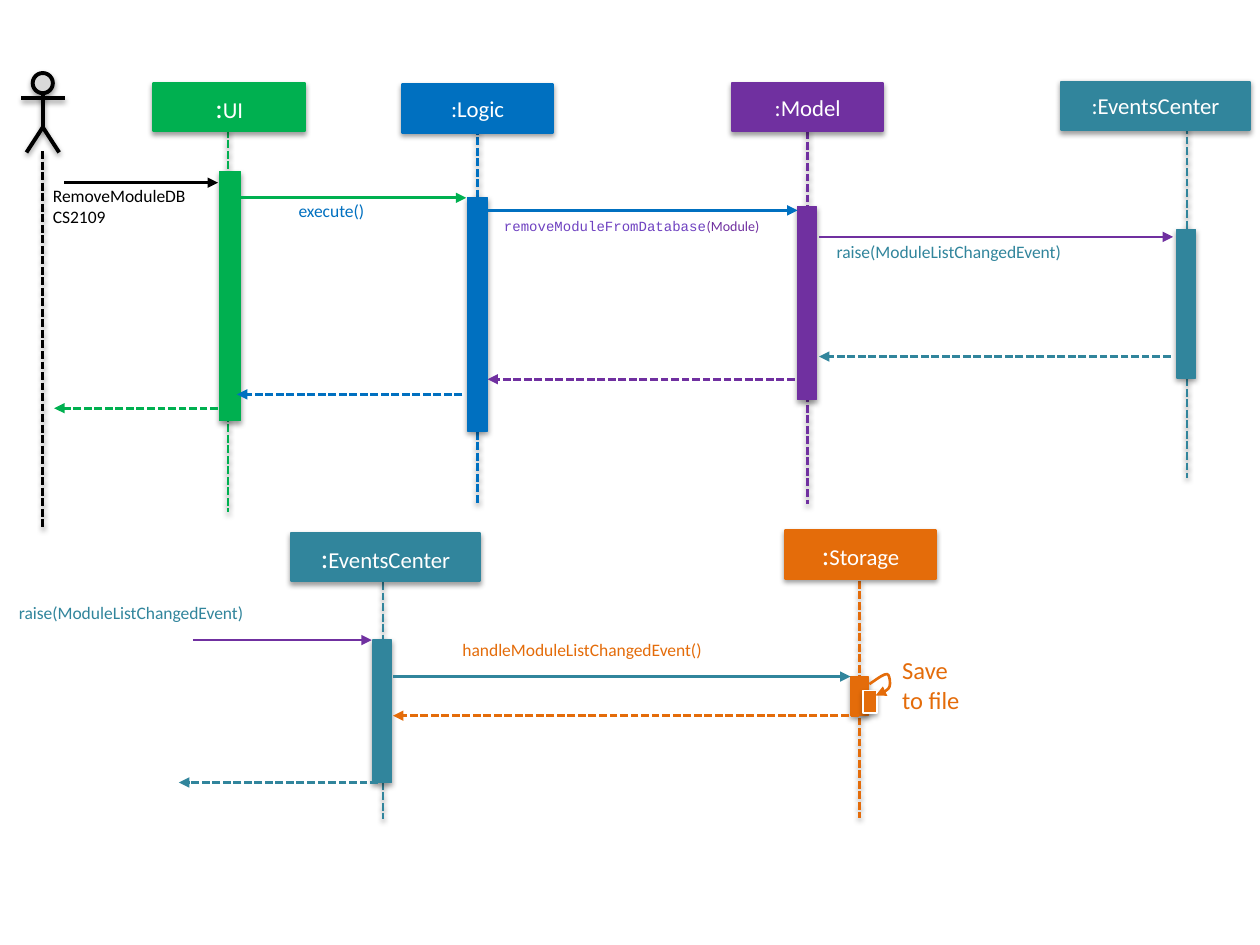
"""Draw a sequence diagram of removing a module, on a grid of 100 columns by 75 rows."""
from pptx import Presentation
from pptx.dml.color import RGBColor
from pptx.enum.dml import MSO_LINE
from pptx.enum.shapes import MSO_CONNECTOR, MSO_SHAPE
from pptx.enum.text import MSO_ANCHOR, PP_ALIGN
from pptx.oxml import parse_xml
from pptx.oxml.ns import nsdecls
from pptx.util import Inches, Pt

HUES = {
    "ui": "00B050", "logic": "0070C0", "model": "7030A0", "event": "31859C",
    "store": "E46C0A", "user": "000000", "head": "D9D9D9", "code": "6F42C1",
    "white": "FFFFFF",
}
SHADE = ('<a:outerShdw blurRad="39370" dist="20320" dir="5400000" rotWithShape="0">'
         '<a:srgbClr val="000000"><a:alpha val="38000"/></a:srgbClr></a:outerShdw>')
CELL = Inches(0.1)

deck = Presentation()
deck.slide_width, deck.slide_height = 100 * CELL, 75 * CELL
slide = deck.slides.add_slide(deck.slide_layouts[6])
shapes = slide.shapes


def edge(item, hue, width=1.5, shade=True, dash=False, arrow=False):
    line = item.line
    line.color.rgb = RGBColor.from_string(HUES[hue])
    line.width = Pt(width)
    if dash:
        line.dash_style = MSO_LINE.SQUARE_DOT
    if arrow:
        line._get_or_add_ln().append(parse_xml(f'<a:tailEnd {nsdecls("a")} type="triangle"/>'))
    item._element.spPr.append(parse_xml(
        f'<a:effectLst {nsdecls("a")}>{SHADE if shade else ""}</a:effectLst>'))


def write(frame, parts):
    frame.word_wrap = True
    para = frame.paragraphs[0]
    para.text = parts[0][0]
    for part in parts[1:]:
        para.add_run().text = part[0]
    for run, (_, size, hue, face) in zip(para.runs * len(parts), parts * len(para.runs)):
        run.font.size = Pt(size)
        run.font.name = face
        run.font.color.rgb = RGBColor.from_string(HUES[hue])
    return para


lanes = [
    ("ui", ":UI", 16, (12.2, 6.6, 12), (18.1, 10.3, 40.6), (17.4, 13.6, 1.7, 19.8)),
    ("logic", ":Logic", 13, (31.9, 6.7, 12), (37.9, 8.4, 40), (37.1, 15.7, 1.6, 18.5)),
    ("model", ":Model", 13, (58.1, 6.6, 12), (64.1, 9.6, 40), (63.3, 16.4, 1.5, 15.3)),
    ("event", ":EventsCenter", 13, (84.2, 6.5, 15), (94.2, 10, 37.9), (93.4, 18.2, 1.5, 11.8)),
    ("store", ":Storage", 16, (62.3, 42.1, 12), (68.2, 46.1, 64.9), (67.5, 53.7, 1.4, 3.1)),
    ("event", ":EventsCenter", 16, (23.1, 42.3, 15), (30.4, 46.2, 65), (29.6, 50.8, 1.5, 11.3)),
]
rects = []
lines = [("user", 3.4, 12, 3.4, 41.9, 1.5, True)]
for hue, name, size, (left, top, wide), (mid, start, end), bar in lanes:
    rects += [(hue, hue, 1.5, (left, top, wide, 3.8), name, size),
              (hue, hue, 0.75, bar, "", 0)]
    lines.append((hue, mid, start, mid, end, 1.5, True))
rects.append(("store", "white", 0.75, (68.5, 54.8, 1.1, 1.8), "", 0))

body = [(3.4, 7.4, 3.4, 10.2), (1.7, 7.8, 5.2, 7.8),
        (3.4, 10.1, 2.1, 12.1), (3.4, 10.1, 4.7, 12.1)]
lines += [("user", *limb, 2.24, False) for limb in body]

for hue, x1, y1, x2, y2, width, dash in lines:
    line = shapes.add_connector(
        MSO_CONNECTOR.STRAIGHT, *(round(n * CELL) for n in (x1, y1, x2, y2)))
    edge(line, hue, width, dash=dash)

for hue, rim, width, place, name, size in rects:
    box = shapes.add_shape(MSO_SHAPE.RECTANGLE, *(round(n * CELL) for n in place))
    box.fill.solid()
    box.fill.fore_color.rgb = RGBColor.from_string(HUES[hue])
    edge(box, rim, width)
    if name:
        parts = [(":", size, "white", "Calibri"), (name[1:], 13, "white", "Calibri")]
        box.text_frame.vertical_anchor = MSO_ANCHOR.MIDDLE
        write(box.text_frame, parts).alignment = PP_ALIGN.CENTER

head = shapes.add_shape(
    MSO_SHAPE.FLOWCHART_CONNECTOR, *(round(n * CELL) for n in (2.6, 5.8, 1.6, 1.6)))
head.fill.solid()
head.fill.fore_color.rgb = RGBColor.from_string(HUES["head"])
edge(head, "user", 2.24)

calls = [
    ("user", 5.1, 17.3, 14.5), ("ui", 18.1, 37, 15.7), ("logic", 38.1, 63.3, 16.7),
    ("model", 65, 93.1, 18.8), ("model", 15.3, 29.5, 50.8), ("event", 31.2, 67.5, 53.7),
]
replies = [
    ("event", 92.9, 65, 28.3), ("model", 63.9, 38.7, 30.1), ("logic", 36.7, 18.8, 31.3),
    ("ui", 17.3, 4.3, 32.4), ("store", 68.2, 31.2, 56.8), ("event", 30, 14.2, 62.1),
]
for group, dash in ((calls, False), (replies, True)):
    for hue, start, end, row in group:
        arrow = shapes.add_connector(
            MSO_CONNECTOR.STRAIGHT, *(round(n * CELL) for n in (start, row, end, row)))
        edge(arrow, hue, shade=False, dash=dash, arrow=True)

curves = [
    ((69, 54.3), (69.6, 53.9), (70.1, 53.5), (70.4, 53.5)),
    ((70.4, 53.5), (70.6, 53.5), (70.7, 54.2), (70.6, 54.5)),
    ((70.6, 54.5), (70.5, 54.8), (70, 55), (69.5, 55.2)),
]
dots = [[round(CELL * sum(k * n for k, n in zip(
    ((1 - t) ** 3, 3 * t * (1 - t) ** 2, 3 * t * t * (1 - t), t ** 3), axis)))
    for axis in zip(*curve)]
    for curve in curves for t in (0, 0.2, 0.4, 0.6, 0.8)]
dots.append([round(n * CELL) for n in curves[-1][-1]])
pen = shapes.build_freeform(*dots[0])
pen.add_line_segments(dots[1:], close=False)
loop = pen.convert_to_shape()
loop.fill.background()
edge(loop, "store", shade=False, arrow=True)

notes = [
    ((4.2, 14.7, 13, 5), [("RemoveModuleDB CS2109", 10, "user", "Calibri")]),
    ((23.7, 15.9, 15.6, 1.7), [("execute()", 10, "logic", "Calibri")]),
    ((40, 17.3, 22.3, 1.3), [("removeModuleFromDatabase", 8, "code", "Courier New"),
                             ("(Module)", 8, "model", "Calibri")]),
    ((66.4, 19.1, 26.7, 1.7), [("raise(ModuleListChangedEvent)", 10, "event", "Calibri")]),
    ((1.5, 47.8, 29.7, 1.7), [("raise(ModuleListChangedEvent)", 10, "event", "Calibri")]),
    ((36.7, 50.7, 29.1, 1.7), [("handleModuleListChangedEvent()", 10, "store", "Calibri")]),
    ((71.6, 52, 5.9, 4.7), [("Save\vto file", 14, "store", "Calibri")]),
]
for place, parts in notes:
    frame = shapes.add_textbox(*(round(n * CELL) for n in place)).text_frame
    frame.margin_left = frame.margin_right = frame.margin_top = frame.margin_bottom = 0
    write(frame, parts)

deck.save("out.pptx")
